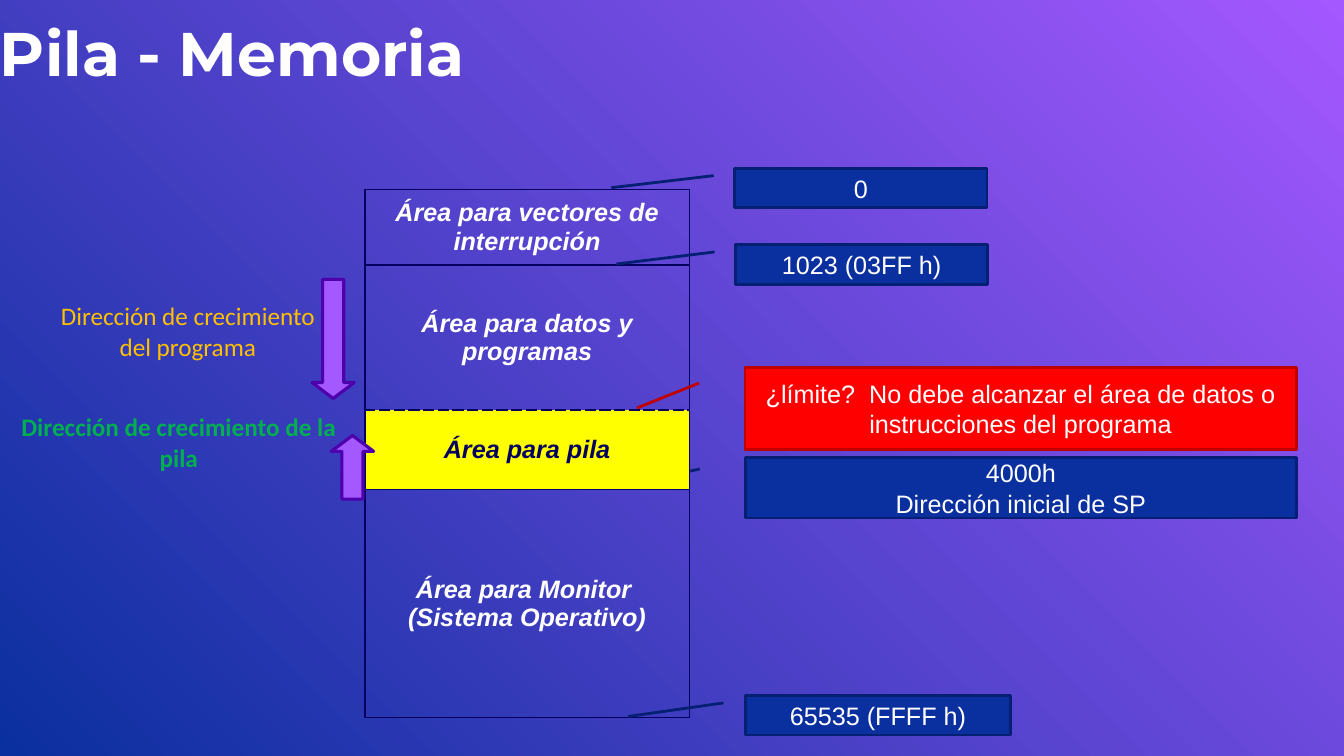
from pptx import Presentation
from pptx.dml.color import RGBColor
from pptx.enum.shapes import MSO_SHAPE
from pptx.enum.text import MSO_ANCHOR, PP_ALIGN
from pptx.oxml import parse_xml
from pptx.oxml.ns import nsdecls
from pptx.util import Pt

HUES = {
    "white": "FFFFFF", "blue": "0A2F9E", "navy": "052073",
    "purple": "A458FF", "violet": "4E00AC", "ink": "050060",
    "yellow": "FFFF00", "red": "FF0000", "wine": "C00000",
    "green": "00B050", "gold": "FFC000",
}


def hue(name):
    return RGBColor.from_string(HUES[name])


def write(frame, text, size=18, font="Arial", color="white", bold=False,
          italic=False, align=PP_ALIGN.CENTER):
    """Fill a text frame, one paragraph for each line of text."""
    frame.word_wrap = True
    for i, line in enumerate(text.split("\n")):
        para = frame.paragraphs[0] if i == 0 else frame.add_paragraph()
        para.alignment = align
        run = para.add_run()
        run.text = line
        run.font.size, run.font.name = Pt(size), font
        run.font.bold, run.font.italic = bold, italic
        run.font.color.rgb = hue(color)


def label(slide, box, text, anchor=MSO_ANCHOR.MIDDLE, inset=7.2, **style):
    frame = slide.shapes.add_textbox(*map(Pt, box)).text_frame
    frame.margin_left = frame.margin_right = Pt(inset)
    frame.margin_top = frame.margin_bottom = Pt(inset / 2)
    frame.vertical_anchor = anchor
    write(frame, text, **style)


def solid(slide, kind, box, fill, edge, width, adjust):
    shape = slide.shapes.add_shape(kind, *map(Pt, box))
    shape.shadow.inherit = False
    shape.fill.solid()
    shape.fill.fore_color.rgb = hue(fill)
    shape.line.color.rgb = hue(edge)
    shape.line.width = Pt(width)
    for i, value in enumerate(adjust):
        shape.adjustments[i] = value
    return shape


def callout(slide, box, text, tip, fill="blue", edge="navy"):
    """Address box with a pointer; tip is (x, y) as shares of the box."""
    shape = solid(slide, MSO_SHAPE.LINE_CALLOUT_1, box, fill, edge, 2,
                  (0.188, -0.083, tip[1], tip[0]))
    shape.text_frame.vertical_anchor = MSO_ANCHOR.MIDDLE
    write(shape.text_frame, text)


def border(cell, side, dash):
    width, style = (18700, "dash") if dash else (13700, "solid")
    cell._tc.get_or_add_tcPr().append(parse_xml(
        f'<a:ln{side} {nsdecls("a")} w="{width}"><a:solidFill>'
        f'<a:srgbClr val="{HUES["ink"]}"/></a:solidFill>'
        f'<a:prstDash val="{style}"/></a:ln{side}>'))


def memory(slide, box, areas):
    """Memory map; areas hold text, height and whether it is the stack."""
    table = slide.shapes.add_table(len(areas), 1, *map(Pt, box)).table
    table.first_row = table.horz_banding = False
    for i, (text, height, stack) in enumerate(areas):
        table.rows[i].height = Pt(height)
        cell = table.cell(i, 0)
        cell.margin_left = cell.margin_right = Pt(9.4)
        cell.vertical_anchor = MSO_ANCHOR.MIDDLE
        above = i + 1 < len(areas) and areas[i + 1][2]
        for side, dash in (("L", False), ("R", False),
                           ("T", stack), ("B", above)):
            border(cell, side, dash)
        if stack:
            cell.fill.solid()
            cell.fill.fore_color.rgb = hue("yellow")
        else:
            cell.fill.background()
        write(cell.text_frame, text, bold=True, italic=True,
              color="ink" if stack else "white")


def growth(slide, box, text, kind, arrow, **style):
    """Growth note; arrow is placed relative to the box."""
    x, y, width, height = arrow
    label(slide, box, text, font="Calibri", **style)
    solid(slide, kind, (box[0] + x, box[1] + y, width, height),
          "purple", "violet", 2.25, (0.5, 0.375))


def backdrop(slide):
    fill = slide.background.fill
    fill.gradient()
    fill.gradient_angle = 225
    for stop, name in zip(fill.gradient_stops, ("purple", "blue")):
        stop.color.rgb = hue(name)


def main():
    deck = Presentation()
    deck.slide_width, deck.slide_height = Pt(960.48), Pt(540)
    slide = deck.slides.add_slide(deck.slide_layouts[6])
    backdrop(slide)

    # Start of the stack, its pointer running behind the map
    callout(slide, (532.8, 326.9, 393.5, 43.2),
            "4000h\nDirección inicial de SP", (-0.233, 0.492))

    # Title
    label(slide, (0, 0, 864, 63.4), "Pila - Memoria", MSO_ANCHOR.BOTTOM, 0,
          size=44, font="Montserrat", bold=True, align=PP_ALIGN.LEFT)

    # Memory map
    memory(slide, (260.8, 135.4, 231.8, 377), [
        ("Área para vectores de interrupción", 53.8, False),
        ("Área para datos y programas", 103.8, False),
        ("Área para pila", 56.7, True),
        ("Área para Monitor \n(Sistema Operativo)", 162.7, False),
    ])

    # Addresses
    for x, y, width, text, tip in (
            (525, 120.2, 180.3, "0", (-0.489, 0.492)),
            (525.6, 174.7, 180.3, "1023 (03FF h)", (-0.472, 0.492)),
            (532.8, 496.8, 189.4, "65535 (FFFF h)", (-0.443, 0.531))):
        callout(slide, (x, y, width, 28.3), text, tip)
    callout(slide, (532.4, 262.6, 393.9, 58.6),
            "¿límite?  No debe alcanzar el área de datos o "
            "instrucciones del programa", (-0.196, 0.492), "red", "wine")

    # Growth directions
    growth(slide, (5, 290.4, 245.5, 50.4),
           "Dirección de crecimiento de la pila", MSO_SHAPE.UP_ARROW,
           (231.8, 20.7, 30.2, 45.4), color="green", bold=True)
    growth(slide, (26.6, 211.2, 215.3, 50.4),
           "Dirección de crecimiento del programa", MSO_SHAPE.DOWN_ARROW,
           (196.4, -11.6, 30.2, 85), color="gold")

    deck.save("out.pptx")


if __name__ == "__main__":
    main()
